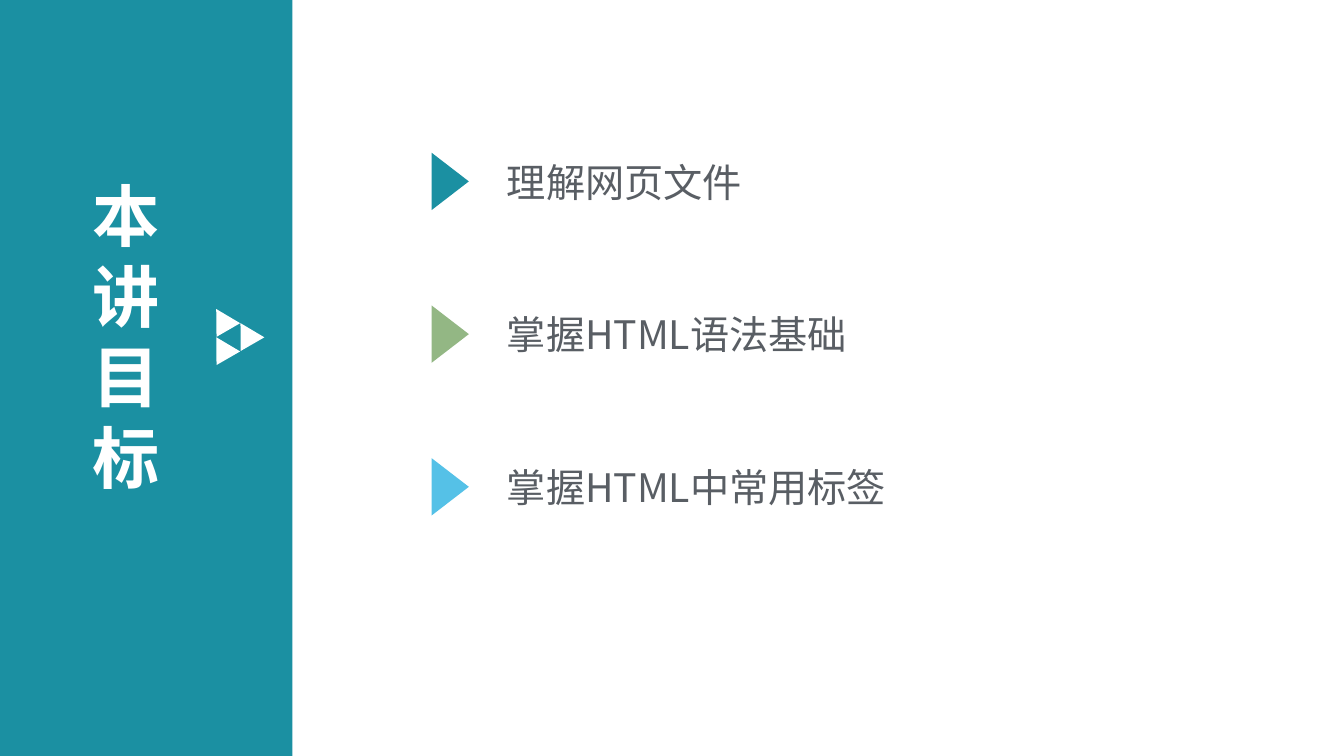
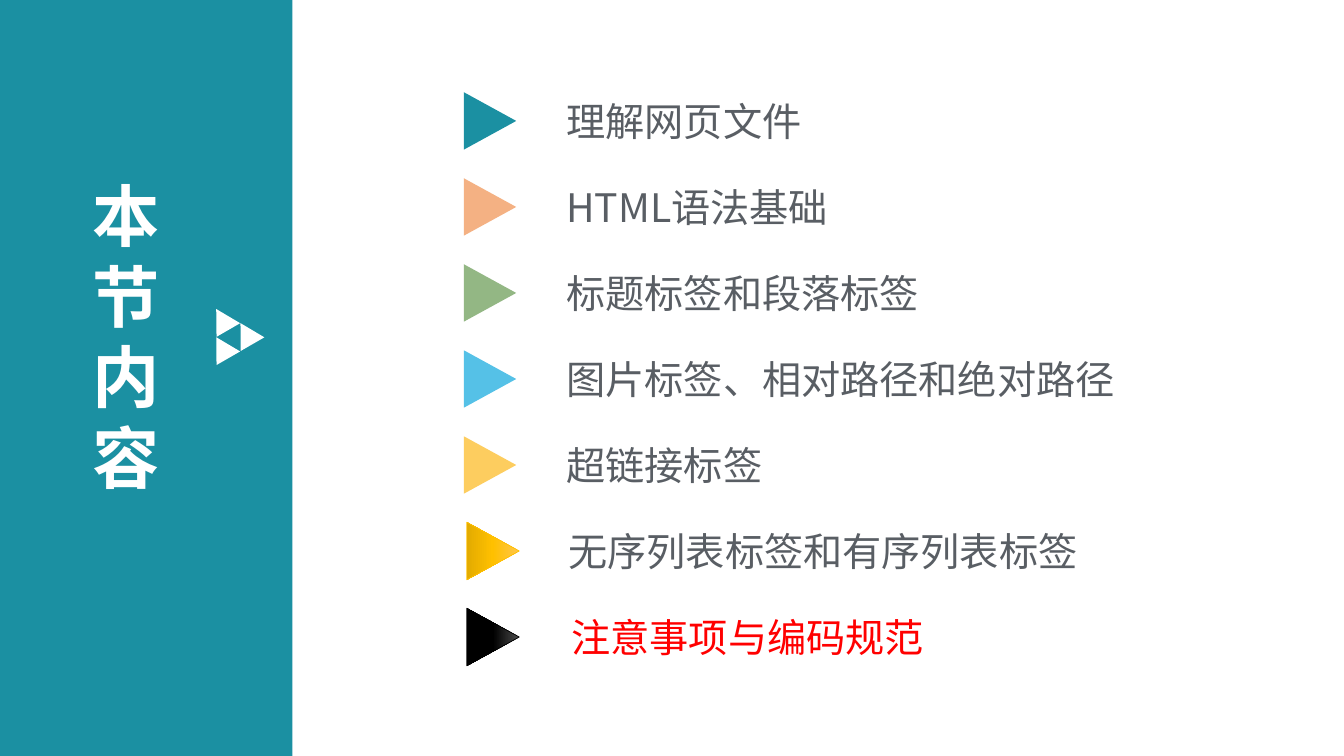
"""Build two outline slides with a teal title band and a list of arrow-marked topics."""
import copy

import pptx
import pptx.dml.color
import pptx.enum.dml
import pptx.enum.shapes
import pptx.enum.text
import pptx.oxml
import pptx.oxml.ns
import pptx.util

FONT = "Noto Sans CJK SC"
COLORS = {
    "teal": "1B90A2", "green": "93B784", "sky": "55C1E7", "peach": "F4B183",
    "yellow": "FDCD5F", "gold": "FFC000", "black": "000000",
    "white": "FFFFFF", "gray": "595E64", "red": "FF0000",
}
GRADIENTS = {
    "gold": ((0, "FFC64B"), (0.5, "FFC000"), (1, "E3AB00")),
    "black": ((0, "4B4B4B"), (0.5, "000000"), (1, "000000")),
}
SLIDES = [
    {
        "title": "本讲目标",
        "first": 1.8, "last": 4.83, "arrow_left": 4.28, "arrow_length": 0.37, "text_left": 4.93,
        "topics": [
            ("理解网页文件", "teal", "gray", 0, 0),
            ("掌握HTML语法基础", "green", "gray", 0, 0),
            ("掌握HTML中常用标签", "sky", "gray", 0, 0),
        ],
    },
    {
        "title": "本节内容",
        "first": 1.2, "last": 6.32, "arrow_left": 4.6, "arrow_length": 0.52, "text_left": 5.52,
        "topics": [
            ("理解网页文件", "teal", "gray", 0, 0),
            ("HTML语法基础", "peach", "gray", 0, 0),
            ("标题标签和段落标签", "green", "gray", 0, 0),
            ("图片标签、相对路径和绝对路径", "sky", "gray", 0, 0),
            ("超链接标签", "yellow", "gray", 0, 0),
            ("无序列表标签和有序列表标签", "gold", "gray", 0.03, 0.02),
            ("注意事项与编码规范", "black", "red", 0.03, 0.05),
        ],
    },
]
WIDTH, HEIGHT = 13.33, 7.5
BAND_WIDTH = 2.9
ARROW_BREADTH = 0.57
TEXT_WIDTH, TEXT_HEIGHT = 7, 0.57
EMBLEM_CORNERS = [(2.07, 3.05), (2.07, 3.33), (2.31, 3.19)]
SHAPES = pptx.enum.shapes.MSO_SHAPE
ANCHORS = pptx.enum.text.MSO_ANCHOR


def rgb(value):
    return pptx.dml.color.RGBColor.from_string(value)


def inches(*values):
    return [pptx.util.Inches(value) for value in values]


def add_filled_shape(slide, kind, box, color, rotation=0):
    shape = slide.shapes.add_shape(kind, *inches(*box))
    shape.shadow.inherit = False
    shape.rotation = rotation
    shape.fill.solid()
    shape.fill.fore_color.rgb = rgb(COLORS[color])
    shape.line.fill.background()
    return shape


def apply_gradient(shape, color):
    shape.fill.gradient()
    shape.fill.gradient_angle = 270
    stop_list = next(shape.element.iter(pptx.oxml.ns.qn("a:gsLst")))
    stop_list.append(copy.deepcopy(stop_list[-1]))
    for stop, (position, value) in zip(shape.fill.gradient_stops, GRADIENTS[color]):
        stop.position = position
        stop.color.rgb = rgb(value)
    shape.line.color.rgb = rgb(COLORS[color])
    shape.line.width = pptx.util.Pt(0.5)


def add_text(slide, box, text, size, color, bold=False, anchor=ANCHORS.MIDDLE):
    frame = slide.shapes.add_textbox(*inches(*box)).text_frame
    frame.word_wrap = True
    frame.vertical_anchor = anchor
    paragraph = frame.paragraphs[0]
    run = paragraph.add_run()
    run.text = text
    run.font.size = pptx.util.Pt(size)
    run.font.bold = bold
    run.font.color.rgb = rgb(COLORS[color])
    run.font.name = FONT
    east_asian = pptx.oxml.parse_xml(
        f'<a:ea {pptx.oxml.ns.nsdecls("a")} typeface="{FONT}"/>')
    run.font._element.append(east_asian)
    return paragraph


def add_title_band(slide, title):
    add_filled_shape(slide, SHAPES.RECTANGLE, (0, 0, BAND_WIDTH, HEIGHT), "teal")
    paragraph = add_text(slide, (0.82, 1.68, 0.92, 3.33), title, 48, "white", True, ANCHORS.TOP)
    paragraph.line_spacing = pptx.util.Pt(57.6)
    for left, top in EMBLEM_CORNERS:
        add_filled_shape(slide, SHAPES.ISOSCELES_TRIANGLE, (left, top, 0.27, 0.24), "white", 330)


def add_topics(slide, content):
    topics = content["topics"]
    pitch = (content["last"] - content["first"]) / (len(topics) - 1)
    length = content["arrow_length"]
    for row, (text, arrow_color, text_color, arrow_shift, text_shift) in enumerate(topics):
        middle = content["first"] + row * pitch
        center = content["arrow_left"] + arrow_shift + length / 2
        arrow_box = (center - ARROW_BREADTH / 2, middle - length / 2, ARROW_BREADTH, length)
        arrow = add_filled_shape(slide, SHAPES.ISOSCELES_TRIANGLE, arrow_box, arrow_color, 90)
        if arrow_color in GRADIENTS:
            apply_gradient(arrow, arrow_color)
        text_box = (content["text_left"] + text_shift, middle - TEXT_HEIGHT / 2,
                    TEXT_WIDTH, TEXT_HEIGHT)
        add_text(slide, text_box, text, 28, text_color)


def main():
    presentation = pptx.Presentation()
    presentation.slide_width, presentation.slide_height = inches(WIDTH, HEIGHT)
    for content in SLIDES:
        slide = presentation.slides.add_slide(presentation.slide_layouts[6])
        add_title_band(slide, content["title"])
        add_topics(slide, content)
    presentation.save("out.pptx")


if __name__ == "__main__":
    main()
